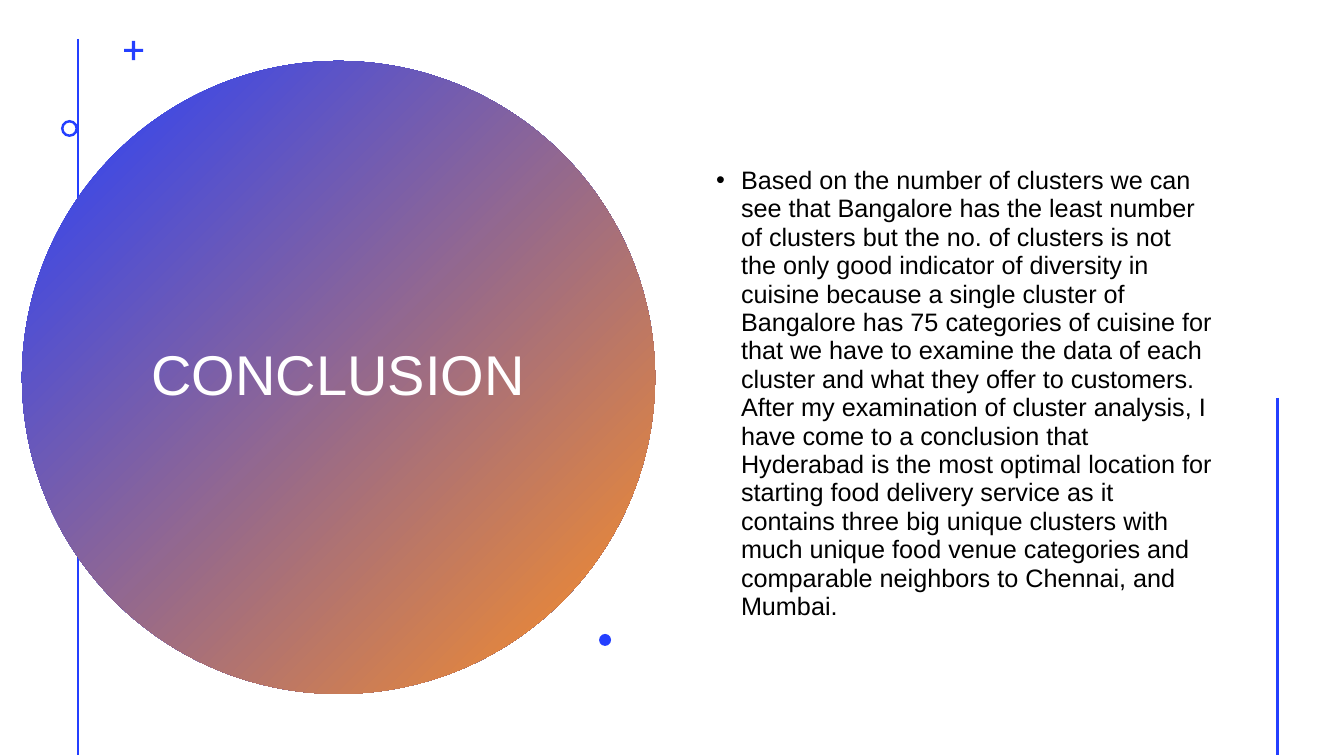
from lxml import etree
from pptx import Presentation
from pptx import util as u
from pptx.dml.color import RGBColor
from pptx.enum import shapes, text
from pptx.oxml.ns import qn

PX = 9071  # EMU per px at 100.8 px to the inch
COLORS = {"blue": "243FFF", "orange": "FF9022", "white": "FFFFFF", "black": "000000"}
FONT = "Arial"


def box(*lengths):
    return [length * PX for length in lengths]


def add_run(paragraph, words, size, color):
    run = paragraph.add_run()
    run.text = words
    run.font.name = FONT
    run.font.size = u.Pt(size)
    run.font.color.rgb = RGBColor.from_string(COLORS[color])


prs = Presentation()
prs.slide_width, prs.slide_height = u.Inches(13.33), u.Inches(7.5)
slide = prs.slides.add_slide(prs.slide_layouts[5])

# Vertical rules at the left and right edges
for x, top in ((78, 39), (1277, 398)):
    rule = slide.shapes.add_connector(shapes.MSO_CONNECTOR.STRAIGHT, *box(x, top, x, 755))
    rule.line.color.rgb = RGBColor.from_string(COLORS["blue"])
    rule.line.width = u.Pt(2)
    etree.SubElement(rule.line._get_or_add_ln().getparent(), qn("a:effectLst"))

# Large gradient circle
circle = slide.shapes.add_shape(shapes.MSO_SHAPE.OVAL, *box(22, 61, 633, 633))
circle.shadow.inherit = False
circle.line.fill.background()
circle.fill.gradient()
circle.fill.gradient_angle = 315
for stop, position, color in zip(circle.fill.gradient_stops, (0, 1), ("blue", "orange")):
    stop.position = position
    stop.color.rgb = RGBColor.from_string(COLORS[color])

# Small ornaments: plus, ring and dot
for preset, left, top, size, adjustment in (
    (shapes.MSO_SHAPE.CROSS, 124, 41, 19, 0.42),
    (shapes.MSO_SHAPE.DONUT, 61, 120, 17, 0.15),
    (shapes.MSO_SHAPE.OVAL, 599, 634, 12, None),
):
    ornament = slide.shapes.add_shape(preset, *box(left, top, size, size))
    ornament.shadow.inherit = False
    ornament.fill.solid()
    ornament.fill.fore_color.rgb = RGBColor.from_string(COLORS["blue"])
    ornament.line.fill.background()
    if adjustment is not None:
        ornament.adjustments[0] = adjustment

# Title, brought in front of the circle
title = slide.shapes.title
title.left, title.top, title.width, title.height = box(137, 142, 402, 471)
title.text_frame.vertical_anchor = text.MSO_ANCHOR.MIDDLE
heading = title.text_frame.paragraphs[0]
heading.alignment = text.PP_ALIGN.CENTER
heading.line_spacing = 0.9
add_run(heading, "CONCLUSION", 40, "white")
circle.element.getparent().append(title.element)

# Concluding paragraph
findings = slide.shapes.add_textbox(*box(706, 65, 516, 658)).text_frame
findings.word_wrap = True
findings.vertical_anchor = text.MSO_ANCHOR.MIDDLE
finding = findings.paragraphs[0]
finding.line_spacing = 0.94
add_run(
    finding,
    "Based on the number of clusters we can see that Bangalore has the least number "
    "of clusters but the no. of clusters is not the only good indicator of diversity "
    "in cuisine because a single cluster of Bangalore has 75 categories of cuisine for "
    "that we have to examine the data of each cluster and what they offer to customers. "
    "After my examination of cluster analysis, I have come to a conclusion that "
    "Hyderabad is the most optimal location for starting food delivery service as it "
    "contains three big unique clusters with much unique food venue categories and "
    "comparable neighbors to Chennai, and Mumbai.",
    18,
    "black",
)
properties = finding._p.get_or_add_pPr()
properties.set("marL", str(25 * PX))
properties.set("indent", str(-25 * PX))
etree.SubElement(properties, qn("a:buFont"), typeface=FONT)
etree.SubElement(properties, qn("a:buChar"), char="•")

prs.save("out.pptx")
